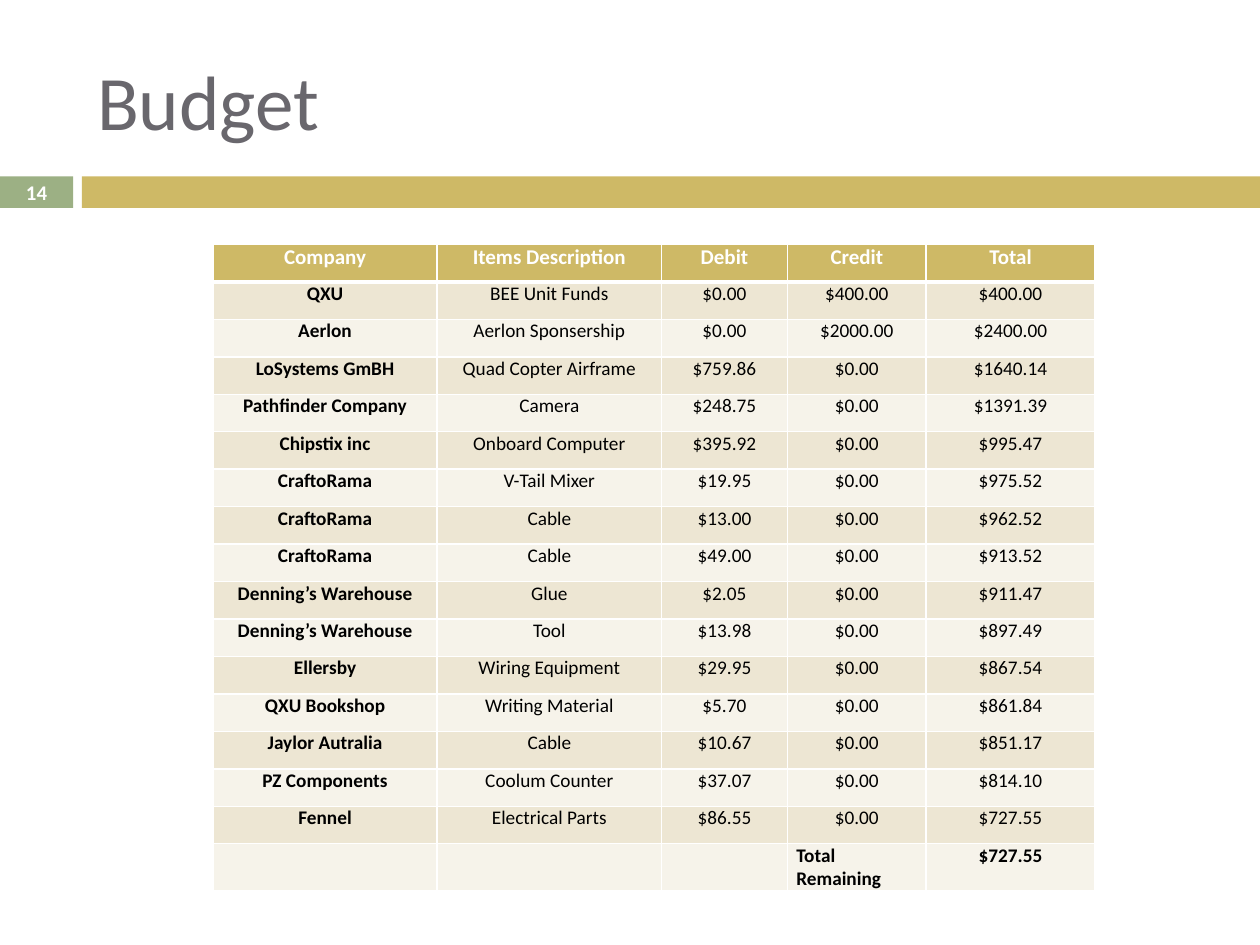
import itertools

import pptx
import pptx.dml.color
import pptx.enum.shapes
import pptx.enum.text
import pptx.oxml
import pptx.oxml.ns
import pptx.util

RGB = pptx.dml.color.RGBColor
Inches = pptx.util.Inches
Align = pptx.enum.text.PP_ALIGN
Anchor = pptx.enum.text.MSO_ANCHOR

WHITE = RGB(0xFF, 0xFF, 0xFF)
BLACK = RGB(0, 0, 0)
GREY = RGB(0x69, 0x67, 0x6D)
GREEN = RGB(0x9C, 0xB0, 0x84)
GOLD = RGB(0xCE, 0xB9, 0x66)
DARK_BAND = RGB(0xED, 0xE6, 0xD3)
LIGHT_BAND = RGB(0xF6, 0xF3, 0xEA)

FONT = "Calibri"
BAR_TOP, BAR_HEIGHT = 1.4, 0.25
NUMBER_WIDTH = 0.58
COLUMN_WIDTHS = (1.78, 1.78, 1, 1.1, 1.34)
GRID_HEIGHT = 4.76  # all rows above the closing one
LAST_ROW_HEIGHT = 0.37

HEADINGS = ("Company", "Items Description", "Debit", "Credit", "Total")
ENTRIES = (  # company, item, debit, credit
    ("QXU", "BEE Unit Funds", 0, 400),
    ("Aerlon", "Aerlon Sponsership", 0, 2000),
    ("LoSystems GmBH", "Quad Copter Airframe", 759.86, 0),
    ("Pathfinder Company", "Camera", 248.75, 0),
    ("Chipstix inc", "Onboard Computer", 395.92, 0),
    ("CraftoRama", "V-Tail Mixer", 19.95, 0),
    ("CraftoRama", "Cable", 13, 0),
    ("CraftoRama", "Cable", 49, 0),
    ("Denning’s Warehouse", "Glue", 2.05, 0),
    ("Denning’s Warehouse", "Tool", 13.98, 0),
    ("Ellersby", "Wiring Equipment", 29.95, 0),
    ("QXU Bookshop", "Writing Material", 5.7, 0),
    ("Jaylor Autralia", "Cable", 10.67, 0),
    ("PZ Components", "Coolum Counter", 37.07, 0),
    ("Fennel", "Electrical Parts", 86.55, 0),
)


def write(frame, text, size, color, bold=False, align=Align.CENTER, before=0):
    para = frame.paragraphs[0]
    para.alignment = align
    para.space_before = pptx.util.Pt(before)
    span = para.add_run()
    span.text = text
    span.font.name = FONT
    span.font.size = pptx.util.Pt(size)
    span.font.bold = bold
    span.font.color.rgb = color


def add_bar(page, left, width, color):
    bar = page.shapes.add_shape(
        pptx.enum.shapes.MSO_SHAPE.RECTANGLE,
        Inches(left), Inches(BAR_TOP), Inches(width), Inches(BAR_HEIGHT))
    bar.shadow.inherit = False
    bar.fill.solid()
    bar.fill.fore_color.rgb = color
    bar.line.fill.background()


def add_title(page, text):
    title = page.shapes.title
    title.left, title.top = Inches(0.67), Inches(0.25)
    title.width, title.height = Inches(8.92), Inches(1.08)
    title.text_frame.vertical_anchor = Anchor.MIDDLE
    write(title.text_frame, text, 44, GREY, align=Align.LEFT)


def add_page_number(page, number):
    box = page.shapes.add_textbox(
        0, Inches(BAR_TOP), Inches(NUMBER_WIDTH), Inches(BAR_HEIGHT))
    frame = box.text_frame
    frame.word_wrap = True
    frame.vertical_anchor = Anchor.MIDDLE
    frame.margin_top = frame.margin_bottom = 0
    write(frame, number, 11.9, WHITE, bold=True)


def style_cell(cell, color, top=1, bottom=1):
    """Set insets, white borders (widths in points) and fill."""
    cell.margin_left = cell.margin_right = Inches(0.07)
    cell.margin_top = cell.margin_bottom = 0
    properties = cell._tc.get_or_add_tcPr()
    for side, width in (("L", 1), ("R", 1), ("T", top), ("B", bottom)):
        properties.append(pptx.oxml.parse_xml(
            f'<a:ln{side} {pptx.oxml.ns.nsdecls("a")} w="{pptx.util.Pt(width)}">'
            f'<a:solidFill><a:srgbClr val="{WHITE}"/></a:solidFill></a:ln{side}>'))
    cell.fill.solid()
    cell.fill.fore_color.rgb = color


def budget_rows():
    """Return the ledger with its running total and closing row."""
    totals = itertools.accumulate(credit - debit for _, _, debit, credit in ENTRIES)
    rows = [HEADINGS]
    for (company, item, *amounts), total in zip(ENTRIES, totals):
        rows.append((company, item, *(f"${value:.2f}" for value in (*amounts, total))))
    rows.append(("", "", "", "Total Remaining", rows[-1][-1]))
    return rows


def add_budget_table(page, rows):
    table = page.shapes.add_table(
        len(rows), len(HEADINGS), Inches(1.69), Inches(1.94),
        Inches(sum(COLUMN_WIDTHS)), Inches(GRID_HEIGHT + LAST_ROW_HEIGHT)).table
    for column, width in zip(table.columns, COLUMN_WIDTHS):
        column.width = Inches(width)
    last = len(rows) - 1
    for r, texts in enumerate(rows):
        table.rows[r].height = Inches(LAST_ROW_HEIGHT if r == last else GRID_HEIGHT / last)
        header = r == 0
        band = GOLD if header else DARK_BAND if r % 2 else LIGHT_BAND
        for c, text in enumerate(texts):
            cell = table.cell(r, c)
            style_cell(cell, band, top=3 if r == 1 else 1, bottom=3 if header else 1)
            if text:
                write(cell.text_frame, text, 12 if header else 11,
                      WHITE if header else BLACK,
                      bold=c == 0 or r in (0, last), before=6,
                      align=Align.LEFT if (r, c) == (last, 3) else Align.CENTER)


def main():
    deck = pptx.Presentation()
    deck.slide_width, deck.slide_height = Inches(10), Inches(7.5)
    page = deck.slides.add_slide(deck.slide_layouts.get_by_name("Title Only"))
    add_bar(page, 0, NUMBER_WIDTH, GREEN)
    add_bar(page, 0.65, 9.35, GOLD)
    add_title(page, "Budget")
    add_page_number(page, "14")
    add_budget_table(page, budget_rows())
    deck.save("out.pptx")


if __name__ == "__main__":
    main()
